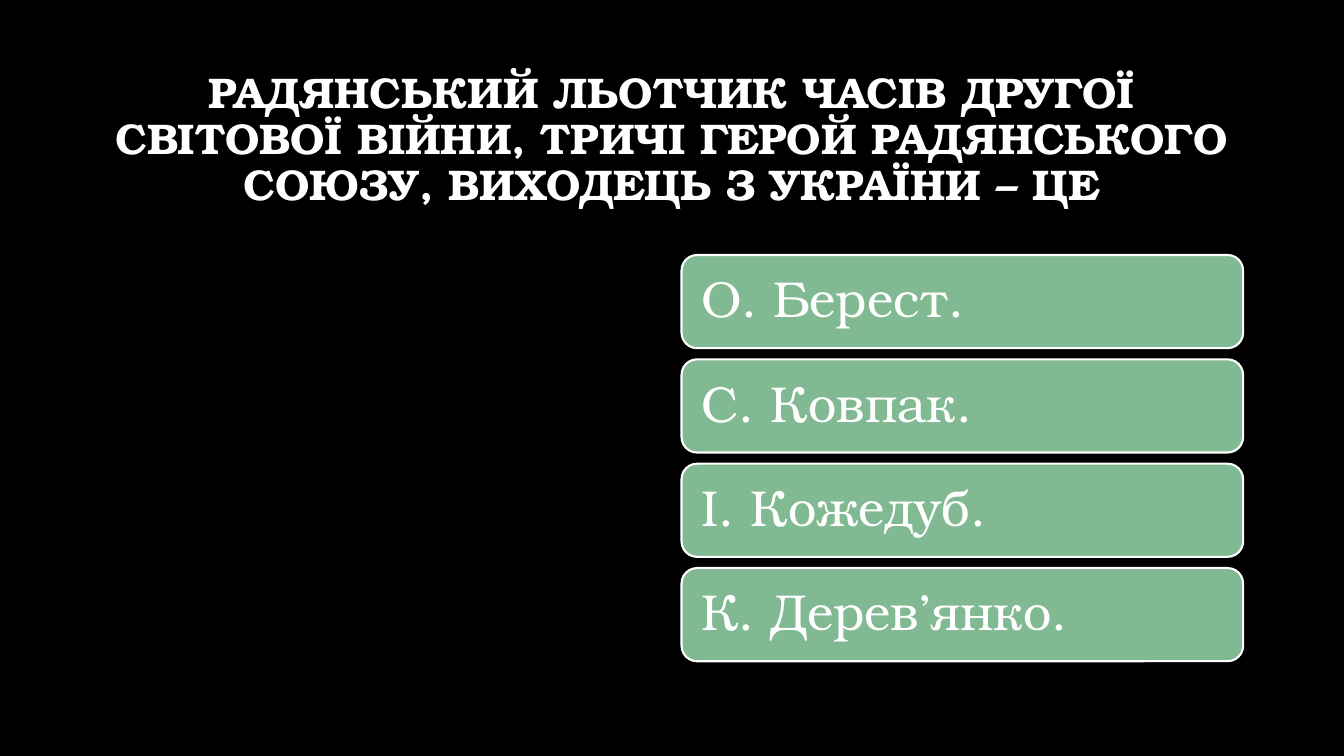
import pptx
import pptx.util
import pptx.dml.color
import pptx.enum.shapes
import pptx.enum.text

Inches = pptx.util.Inches
Pt = pptx.util.Pt
RGBColor = pptx.dml.color.RGBColor
Align = pptx.enum.text.PP_ALIGN
Anchor = pptx.enum.text.MSO_ANCHOR

BLACK = RGBColor(0x00, 0x00, 0x00)
WHITE = RGBColor(0xFF, 0xFF, 0xFF)
GREEN = RGBColor(0x81, 0xB9, 0x92)
FONT = "TeX Gyre Bonum"

QUESTION = ("РАДЯНСЬКИЙ ЛЬОТЧИК ЧАСІВ ДРУГОЇ СВІТОВОЇ ВІЙНИ, ТРИЧІ ГЕРОЙ "
            "РАДЯНСЬКОГО СОЮЗУ, ВИХОДЕЦЬ З УКРАЇНИ – ЦЕ")
ANSWERS = ["О. Берест.", "С. Ковпак.", "І. Кожедуб.", "К. Дерев’янко."]

# Regions: left, top, width, height in inches
QUESTION_BOX = (1, 0.67, 11.32, 1.45)
ANSWERS_BOX = (6.76, 2.53, 5.57, 4.03)
GAP_SHARE = 0.12  # gap between answers, as a share of a card's height


def write(frame, text, size, bold, align):
    """Fill a text frame with one formatted paragraph."""
    frame.text = text
    frame.word_wrap = True
    frame.auto_size = pptx.enum.text.MSO_AUTO_SIZE.NONE
    frame.vertical_anchor = Anchor.MIDDLE
    para = frame.paragraphs[0]
    para.alignment = align
    para.line_spacing = 0.9
    for span in para.runs:
        span.font.name = FONT
        span.font.size = Pt(size)
        span.font.bold = bold
        span.font.color.rgb = WHITE


def add_question(page, box, text):
    """Place the question in the title placeholder."""
    title = page.shapes.title
    title.left, title.top, title.width, title.height = map(Inches, box)
    write(title.text_frame, text, 30.6, True, Align.CENTER)


def add_answers(page, box, answers):
    """Stack one rounded card per answer, evenly over the box."""
    left, top, width, height = box
    count = len(answers)
    card_height = height / (count + (count - 1) * GAP_SHARE)
    pitch = card_height * (1 + GAP_SHARE)
    for row, answer in enumerate(answers):
        card = page.shapes.add_shape(
            pptx.enum.shapes.MSO_SHAPE.ROUNDED_RECTANGLE,
            Inches(left), Inches(top + row * pitch),
            Inches(width), Inches(card_height))
        card.shadow.inherit = False
        card.fill.solid()
        card.fill.fore_color.rgb = GREEN
        card.line.color.rgb = WHITE
        card.line.width = Pt(1.5)
        frame = card.text_frame
        frame.margin_left = frame.margin_right = Inches(0.15)
        frame.margin_top = frame.margin_bottom = Inches(0.15)
        write(frame, answer, 36, False, Align.LEFT)


def main():
    deck = pptx.Presentation()
    deck.slide_width, deck.slide_height = Inches(13.33), Inches(7.5)
    page = deck.slides.add_slide(deck.slide_layouts[5])  # title only
    page.background.fill.solid()
    page.background.fill.fore_color.rgb = BLACK
    add_question(page, QUESTION_BOX, QUESTION)
    add_answers(page, ANSWERS_BOX, ANSWERS)
    deck.save("out.pptx")


if __name__ == "__main__":
    main()
